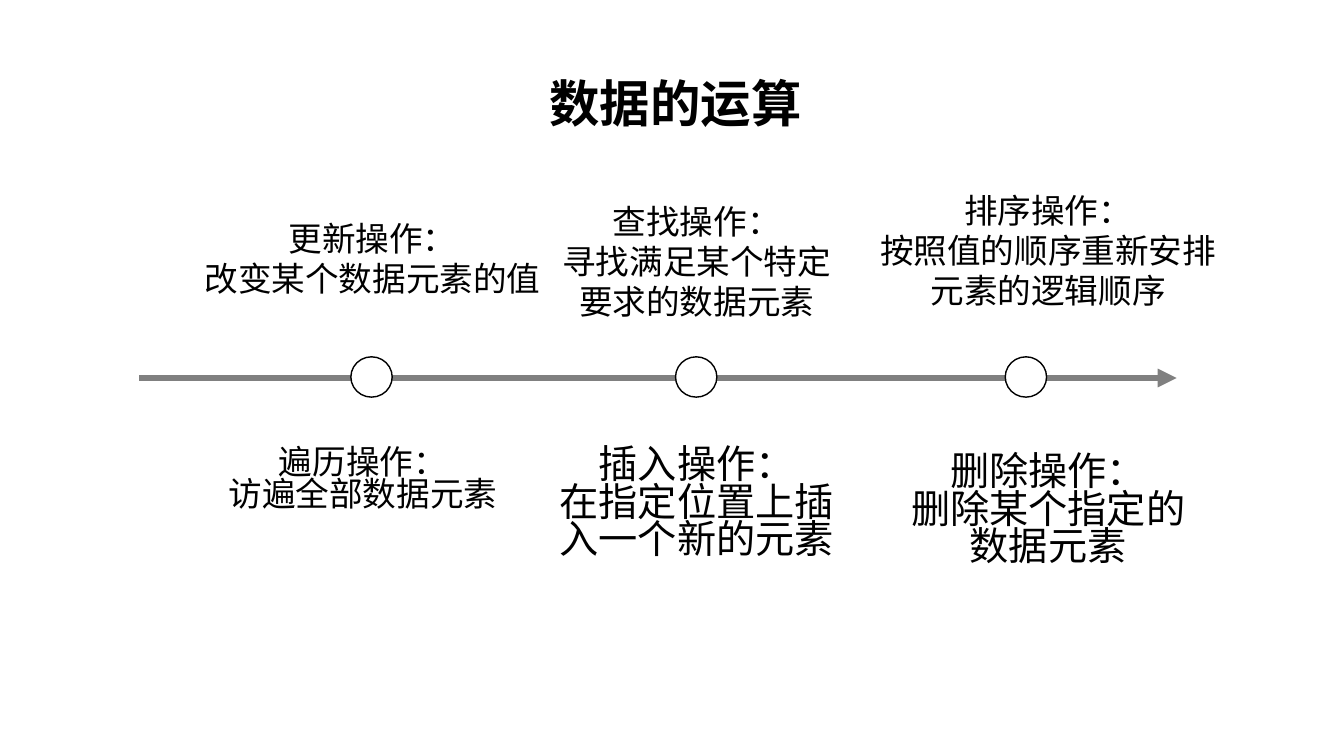
from lxml import etree
from pptx import Presentation
from pptx.dml.color import RGBColor
from pptx.enum.shapes import MSO_CONNECTOR, MSO_SHAPE
from pptx.enum.text import MSO_ANCHOR, MSO_AUTO_SIZE, PP_ALIGN
from pptx.oxml.ns import qn
from pptx.util import Inches, Pt

STRAIGHT = MSO_CONNECTOR.STRAIGHT
ELLIPSE = MSO_SHAPE.OVAL
CENTER = PP_ALIGN.CENTER
TOP = MSO_ANCHOR.TOP
GROW = MSO_AUTO_SIZE.SHAPE_TO_FIT_TEXT

COLORS = {"text": "000000", "arrow": "808080", "marker": "FFFFFF"}
BODY_FONT = "Calibri"
TITLE_FONT = "Noto Sans CJK SC"

# Boxes are left, top, width, height in inches.
TITLE_BOX = (3.94, 0.37, 5.52, 1.01)
TIMELINE_BOX = (1.38, 3.54, 10.29, 0.4)
MARKER_WIDTH = 0.41
MARKER_OFFSETS = (2.1, 5.32, 8.59)

# Each operation: name, description, box, text size, line spacing.
OPERATIONS = (
    ("更新操作：", "改变某个数据元素的值", (1.38, 2.11, 4.63, 1.31), 24, 1.0),
    ("查找操作：", "寻找满足某个特定要求的数据元素", (5.41, 1.94, 3, 1.31), 24, 1.0),
    ("排序操作：", "按照值的顺序重新安排元素的逻辑顺序", (8.61, 1.83, 3.57, 1.72), 24, 1.0),
    ("遍历操作：", "访遍全部数据元素", (2.03, 4.4, 3.14, 0.75), 24, 0.8),
    ("插入操作：", "在指定位置上插入一个新的元素", (5.4, 4.4, 3.02, 1.23), 28, 0.8),
    ("删除操作：", "删除某个指定的数据元素", (8.84, 4.47, 3.11, 1.23), 28, 0.8),
)


def color(name):
    """Return the named colour."""
    return RGBColor.from_string(COLORS[name])


def add_text(slide, box, lines, size, spacing, font=BODY_FONT, bold=False):
    """Place centred paragraphs in a box."""
    frame = slide.shapes.add_textbox(*map(Inches, box)).text_frame
    frame.word_wrap = True
    frame.auto_size = GROW
    frame.vertical_anchor = TOP
    frame.text = "\n".join(lines)
    for paragraph in frame.paragraphs:
        paragraph.alignment = CENTER
        paragraph.line_spacing = spacing
        paragraph.font.name = font
        paragraph.font.size = Pt(size)
        paragraph.font.bold = bold
        paragraph.font.color.rgb = color("text")
        properties = paragraph.font._element
        latin = properties.find(qn("a:latin"))
        latin.addnext(properties.makeelement(qn("a:ea"), {"typeface": TITLE_FONT}))


def add_timeline(slide, box):
    """Draw the arrow through the middle of a box, with its round markers."""
    left, top, width, height = box
    # The arrow runs just below the centre of the markers.
    middle = top + height / 2 + 0.01
    arrow = slide.shapes.add_connector(
        STRAIGHT, *map(Inches, (left, middle, left + width, middle)))
    arrow.line.color.rgb = color("arrow")
    arrow.line.width = Pt(4.5)
    etree.SubElement(arrow.line._get_or_add_ln(), qn("a:tailEnd"), type="triangle")
    etree.SubElement(arrow._element.spPr, qn("a:effectLst"))
    for offset in MARKER_OFFSETS:
        marker = slide.shapes.add_shape(
            ELLIPSE, *map(Inches, (left + offset, top, MARKER_WIDTH, height)))
        marker.shadow.inherit = False
        marker.fill.solid()
        marker.fill.fore_color.rgb = color("marker")
        marker.line.color.rgb = color("text")
        marker.line.width = Pt(1)


def build_operations_slide(presentation):
    """Build the slide on data operations."""
    slide = presentation.slides.add_slide(presentation.slide_layouts[6])
    add_timeline(slide, TIMELINE_BOX)
    add_text(slide, TITLE_BOX, ["数据的运算"], 36, 1.5, TITLE_FONT, bold=True)
    for name, description, box, size, spacing in OPERATIONS:
        add_text(slide, box, [name, description], size, spacing)


presentation = Presentation()
presentation.slide_width = Inches(13.33)
presentation.slide_height = Inches(7.5)
build_operations_slide(presentation)
presentation.save("out.pptx")
